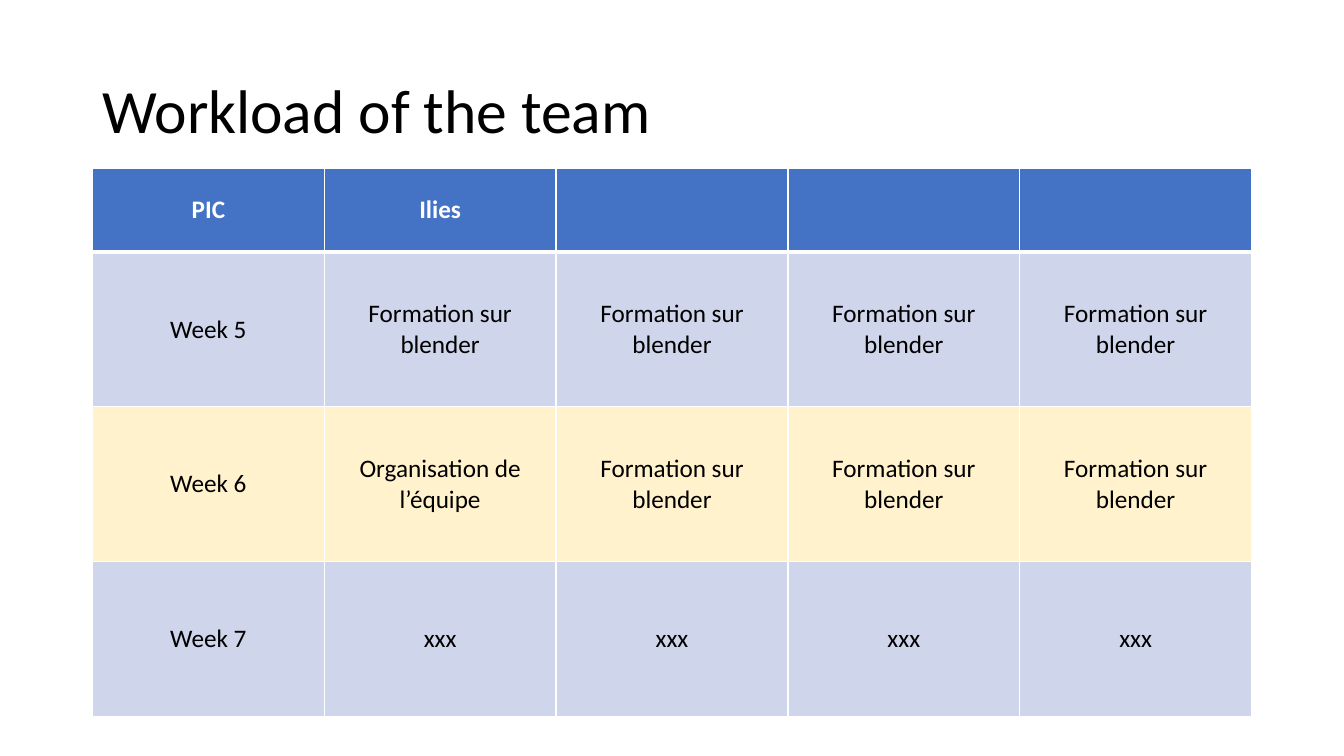
from lxml import etree
from pptx import Presentation
from pptx import util as u
from pptx.dml.color import RGBColor
from pptx.enum import text
from pptx.oxml import ns

BLACK = RGBColor(0x00, 0x00, 0x00)
WHITE = RGBColor(0xFF, 0xFF, 0xFF)
BLUE = RGBColor(0x44, 0x72, 0xC4)
LAVENDER = RGBColor(0xCF, 0xD5, 0xEA)
CREAM = RGBColor(0xFF, 0xF2, 0xCC)
FONT = "Calibri"

TRAINING = "Formation sur blender"
WORKLOAD = [
    ["PIC", "Ilies", "", "", ""],
    ["Week 5"] + [TRAINING] * 4,
    ["Week 6", "Organisation de l’équipe"] + [TRAINING] * 3,
    ["Week 7"] + ["xxx"] * 4,
]
ROW_FILLS = [BLUE, LAVENDER, CREAM, LAVENDER]
HEADER_HEIGHT = u.Cm(2.1)


def add_run(paragraph, words, size, color, bold=False):
    """Add one formatted run to a paragraph."""
    run = paragraph.add_run()
    run.text = words
    run.font.name = FONT
    run.font.size = u.Pt(size)
    run.font.bold = bold
    run.font.color.rgb = color


def add_title(slide, left, top, width, height):
    """Place the slide title in the given box."""
    frame = slide.shapes.add_textbox(left, top, width, height).text_frame
    frame.word_wrap = True
    frame.vertical_anchor = text.MSO_ANCHOR.MIDDLE
    paragraph = frame.paragraphs[0]
    paragraph.line_spacing = 0.9
    add_run(paragraph, "Workload of the team", 44, BLACK)


def set_borders(cell, widths):
    """Draw white borders of the given point widths around a cell."""
    properties = cell._tc.get_or_add_tcPr()
    for side, width in widths.items():
        line = etree.SubElement(properties, ns.qn(f"a:ln{side}"), w=str(u.Pt(width)))
        fill = etree.SubElement(line, ns.qn("a:solidFill"))
        etree.SubElement(fill, ns.qn("a:srgbClr"), val=str(WHITE))


def fill_cell(cell, words, row_index):
    """Style one cell according to its row and write its words."""
    header = row_index == 0
    set_borders(cell, {"L": 1, "R": 1, "T": 3 if row_index == 1 else 1, "B": 3 if header else 1})
    cell.fill.solid()
    cell.fill.fore_color.rgb = ROW_FILLS[row_index]
    cell.vertical_anchor = text.MSO_ANCHOR.MIDDLE
    paragraph = cell.text_frame.paragraphs[0]
    paragraph.alignment = text.PP_ALIGN.CENTER
    if words:
        add_run(paragraph, words, 18, WHITE if header else BLACK, header)


def add_workload_table(slide, left, top, width, height):
    """Place the weekly workload table in the given box."""
    row_count, column_count = len(WORKLOAD), len(WORKLOAD[0])
    table = slide.shapes.add_table(row_count, column_count, left, top, width, height).table
    for column in table.columns:
        column.width = width // column_count
    for row_index, (row, entries) in enumerate(zip(table.rows, WORKLOAD)):
        row.height = HEADER_HEIGHT if row_index == 0 else (height - HEADER_HEIGHT) // (row_count - 1)
        for cell, words in zip(row.cells, entries):
            fill_cell(cell, words, row_index)


def main():
    """Build and save the workload slide."""
    presentation = Presentation()
    presentation.slide_width = u.Cm(33.87)
    presentation.slide_height = u.Cm(19.05)
    slide = presentation.slides.add_slide(presentation.slide_layouts[6])
    left, width = u.Cm(2.33), u.Cm(29.21)
    add_title(slide, left, u.Cm(1.01), width, u.Cm(3.68))
    add_workload_table(slide, left, u.Cm(4.25), width, u.Cm(13.8))
    presentation.save("out.pptx")


if __name__ == "__main__":
    main()
